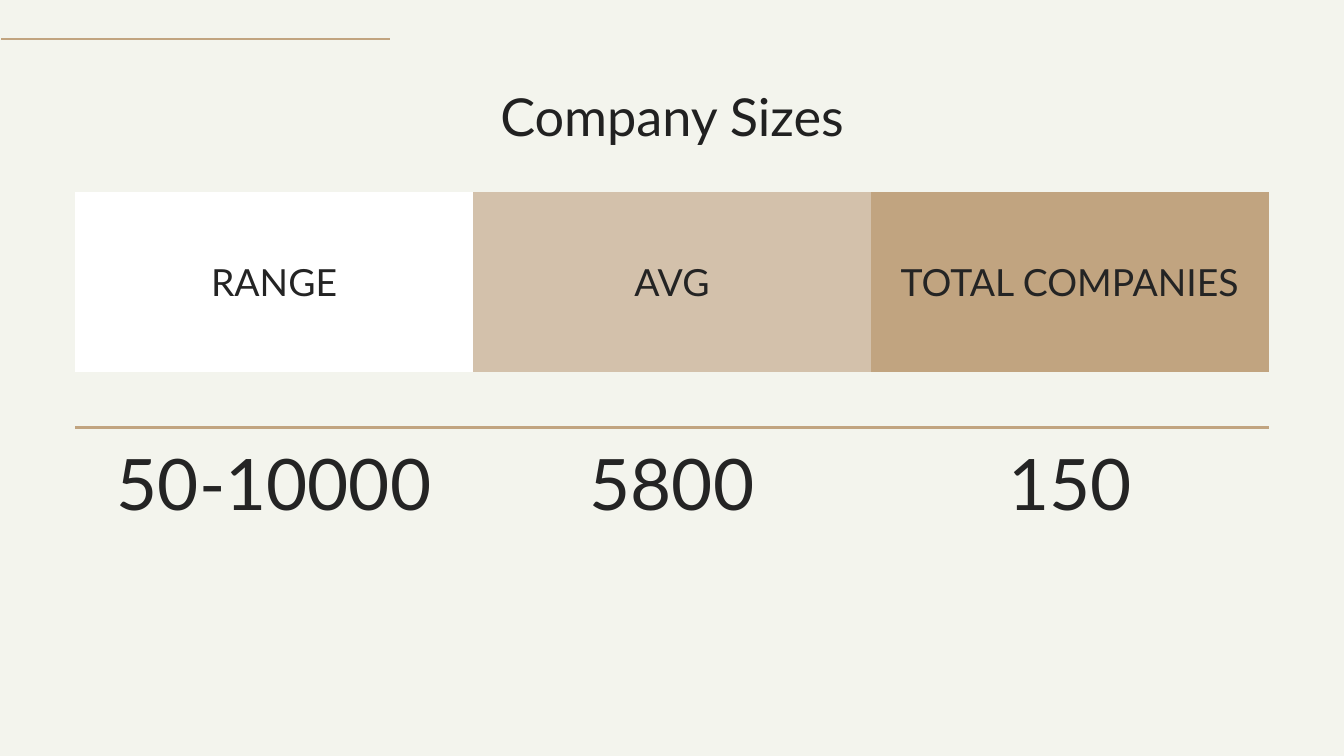
from lxml.etree import SubElement
from pptx import Presentation
from pptx.dml.color import RGBColor
from pptx.enum.shapes import MSO_CONNECTOR
from pptx.enum.text import MSO_ANCHOR, PP_ALIGN
from pptx.oxml import parse_xml
from pptx.oxml.ns import nsdecls, qn
from pptx.util import Inches, Pt

BACKGROUND = RGBColor(0xF3, 0xF4, 0xED)
WHITE = RGBColor(0xFF, 0xFF, 0xFF)
SAND = RGBColor(0xD3, 0xC1, 0xAB)
GOLD = RGBColor(0xC1, 0xA4, 0x80)
TITLE_COLOR = RGBColor(0x21, 0x21, 0x21)
TEXT_COLOR = RGBColor(0x24, 0x24, 0x24)
NO_STYLE = "{2D5ABB26-0587-4C30-8999-92F81FD0307C}"
RULE_WIDTH = Pt(1.5)

# Content: heading, heading fill, value
TITLE = "Company Sizes"
COLUMNS = [
    ("RANGE", WHITE, "50-10000"),
    ("AVG", SAND, "5800"),
    ("TOTAL COMPANIES", GOLD, "150"),
]
COLUMN_WIDTH = 2.96
ROW_HEIGHTS = [1.34, 0.41, 1.63]
HEADING_ROW, SPACER_ROW, VALUE_ROW = range(3)


def write_text(text_frame, text, size, color):
    paragraph = text_frame.paragraphs[0]
    paragraph.alignment = PP_ALIGN.CENTER
    run = paragraph.add_run()
    run.text = text
    for name, value in {"name": "Lato", "size": Pt(size)}.items():
        setattr(run.font, name, value)
    run.font.color.rgb = color


def set_margins(target):
    for side in ("left", "right", "top", "bottom"):
        setattr(target, f"margin_{side}", Inches(0.1))


def add_border(cell, tag):
    cell._tc.get_or_add_tcPr().insert(0, parse_xml(
        f'<a:{tag} {nsdecls("a")} w="{RULE_WIDTH}"><a:solidFill>'
        f'<a:srgbClr val="{GOLD}"/></a:solidFill></a:{tag}>'))


# Widescreen 16:9 slide
presentation = Presentation()
presentation.slide_width = Inches(10)
presentation.slide_height = presentation.slide_width * 9 // 16
slide = presentation.slides.add_slide(presentation.slide_layouts[6])
slide.background.fill.solid()
slide.background.fill.fore_color.rgb = BACKGROUND

# Accent line
accent = slide.shapes.add_connector(
    MSO_CONNECTOR.STRAIGHT, Inches(0.01), Inches(0.29), Inches(2.9), Inches(0.29))
accent.line.color.rgb = GOLD
accent.line.width = RULE_WIDTH
SubElement(accent._element.spPr, qn("a:effectLst"))

# Title
title = slide.shapes.add_textbox(Inches(0.78), Inches(0.6), Inches(8.44), Inches(0.52))
title.text_frame.word_wrap = True
title.text_frame.vertical_anchor = MSO_ANCHOR.MIDDLE
set_margins(title.text_frame)
write_text(title.text_frame, TITLE, 28, TITLE_COLOR)

# Table
frame = slide.shapes.add_table(
    len(ROW_HEIGHTS), len(COLUMNS), Inches(0.56), Inches(1.43),
    Inches(COLUMN_WIDTH * len(COLUMNS)), Inches(sum(ROW_HEIGHTS)))
table = frame.table
table.first_row = table.horz_banding = False
table._tbl.tblPr.find(qn("a:tableStyleId")).text = NO_STYLE
for row, height in zip(table.rows, ROW_HEIGHTS):
    row.height = Inches(height)

for index, (heading, fill, value) in enumerate(COLUMNS):
    table.columns[index].width = Inches(COLUMN_WIDTH)
    heading_cell, spacer_cell, value_cell = (
        table.cell(row, index) for row in (HEADING_ROW, SPACER_ROW, VALUE_ROW))

    heading_cell.fill.solid()
    heading_cell.fill.fore_color.rgb = fill
    heading_cell.vertical_anchor = MSO_ANCHOR.MIDDLE
    set_margins(heading_cell)
    write_text(heading_cell.text_frame, heading, 20, TEXT_COLOR)

    spacer_cell.fill.background()
    spacer_cell.text_frame.paragraphs[0].font.size = Pt(10)
    add_border(spacer_cell, "lnB")

    value_cell.fill.background()
    set_margins(value_cell)
    write_text(value_cell.text_frame, value, 38, TEXT_COLOR)
    add_border(value_cell, "lnT")

presentation.save("out.pptx")
